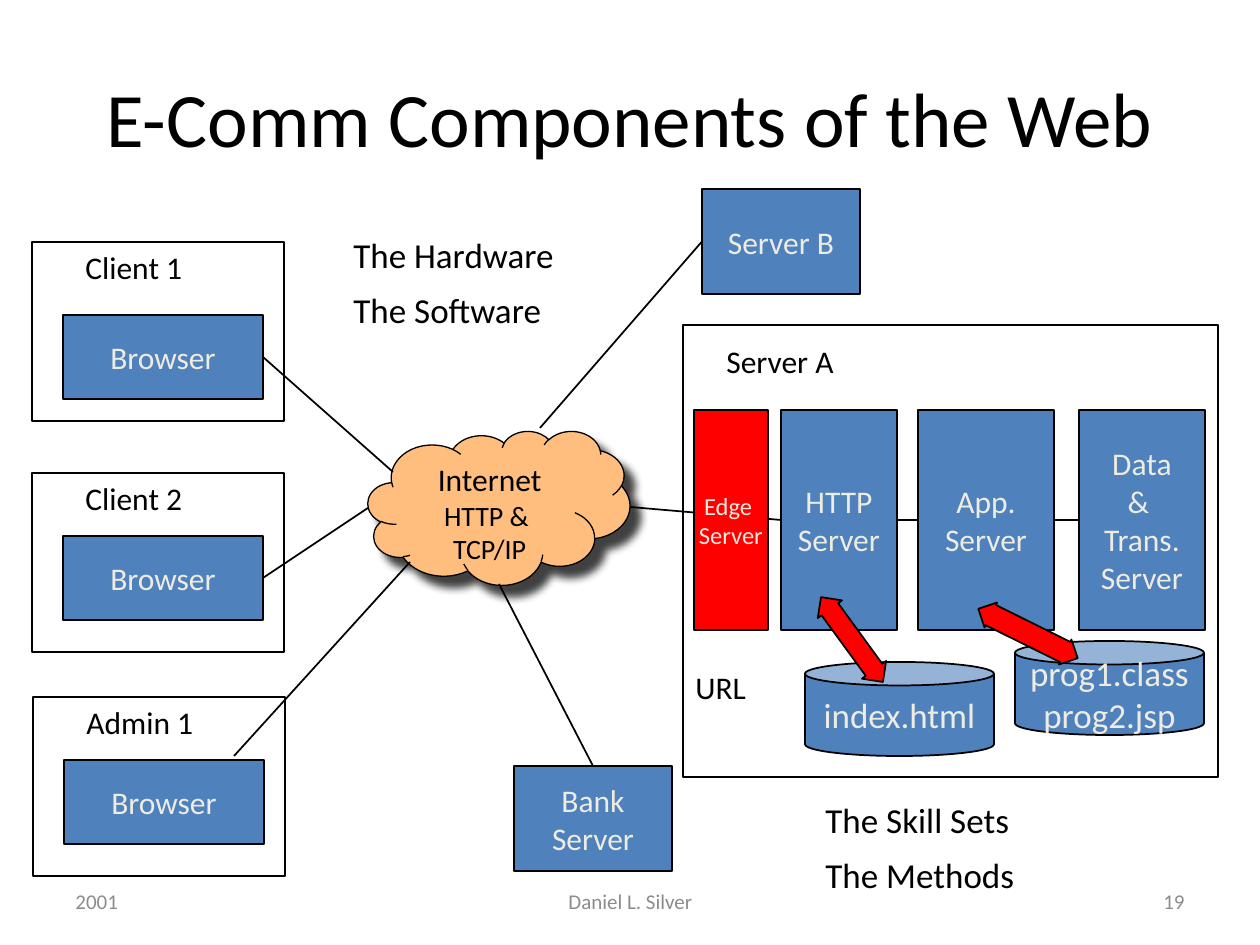
"""Build the slide that maps the e-commerce parts of the web."""
import pptx
import pptx.dml.color
import pptx.enum.shapes
import pptx.enum.text
import pptx.oxml
import pptx.oxml.ns
import pptx.util

SHAPE = pptx.enum.shapes.MSO_SHAPE
ALIGN = pptx.enum.text.PP_ALIGN
ANCHOR = pptx.enum.text.MSO_ANCHOR
TOP, LEFT, RIGHT = 0, 1, 3
SHADOW = (
    f'<a:outerShdw {pptx.oxml.ns.nsdecls("a")} blurRad="63500" dist="107950" '
    'dir="2700000" algn="tl" rotWithShape="0"><a:srgbClr val="000000">'
    '<a:alpha val="75000"/></a:srgbClr></a:outerShdw>'
)


def px(*sizes):
    return [pptx.util.Emu(round(size * 914400 / 126)) for size in sizes]


def hue(code):
    return pptx.dml.color.RGBColor.from_string(code)


def write(frame, text, size=18, color="000000", align=ALIGN.LEFT,
          anchor=ANCHOR.TOP, wrap=False, font="Calibri"):
    frame.word_wrap = wrap
    frame.vertical_anchor = anchor
    sizes = size if isinstance(size, list) else [size] * len(text.split("\n"))
    for i, (line, points) in enumerate(zip(text.split("\n"), sizes)):
        para = frame.paragraphs[0] if i == 0 else frame.add_paragraph()
        para.alignment = align
        run = para.add_run()
        run.text = line
        run.font.name = font
        run.font.size = pptx.util.Pt(points)
        run.font.color.rgb = hue(color)


class Chart:
    blue, red, peach = "4F81BD", "FF0000", "FFBE7D"
    black, cream, gray = "000000", "EEECE1", "8C8C8C"

    def __init__(self, deck):
        self.slide = deck.slides.add_slide(deck.slide_layouts[5])
        self.shapes = self.slide.shapes

    def title(self, text, spot):
        head = self.shapes.title
        head.left, head.top, head.width, head.height = px(*spot)
        write(head.text_frame, text, size=44, align=ALIGN.CENTER,
              anchor=ANCHOR.MIDDLE, wrap=True)

    def shape(self, spot, kind=SHAPE.RECTANGLE, fill=None, width=1):
        item = self.shapes.add_shape(kind, *px(*spot))
        item.shadow.inherit = False
        if fill:
            item.fill.solid()
            item.fill.fore_color.rgb = hue(fill)
        else:
            item.fill.background()
        item.line.color.rgb = hue(self.black)
        item.line.width = pptx.util.Pt(width)
        return item

    def box(self, text, spot, kind=SHAPE.RECTANGLE, fill=blue, size=18):
        item = self.shape(spot, kind, fill)
        write(item.text_frame, text, size=size, color=self.cream,
              align=ALIGN.CENTER, anchor=ANCHOR.MIDDLE)
        return item

    def cloud(self, text, spot):
        item = self.shape(spot, SHAPE.CLOUD, self.peach, 0.75)
        effects = item._element.spPr.find(pptx.oxml.ns.qn("a:effectLst"))
        effects.append(pptx.oxml.parse_xml(SHADOW))
        write(item.text_frame, text, size=[18, 16, 16], align=ALIGN.CENTER,
              wrap=True)

    def arrow(self, spot, turn, tip):
        item = self.shape(spot, SHAPE.UP_DOWN_ARROW, self.red)
        item.rotation = turn
        item.adjustments[0] = 0.5
        item.adjustments[1] = tip

    def label(self, text, spot, size=18):
        item = self.shapes.add_textbox(*px(*spot))
        write(item.text_frame, text, size=size)
        item.text_frame.auto_size = pptx.enum.text.MSO_AUTO_SIZE.SHAPE_TO_FIT_TEXT

    def foot(self, text, spot, align):
        item = self.shapes.add_textbox(*px(*spot))
        write(item.text_frame, text, size=12, color=self.gray, align=align,
              anchor=ANCHOR.MIDDLE, wrap=True)

    def line(self, start, end):
        """Join two ends, each a point or a pair of box and side."""
        link = self.shapes.add_connector(
            pptx.enum.shapes.MSO_CONNECTOR.STRAIGHT, *px(0, 0, 0, 0))
        if isinstance(start[0], int):
            link.begin_x, link.begin_y = px(*start)
        else:
            link.begin_connect(*start)
        if isinstance(end[0], int):
            link.end_x, link.end_y = px(*end)
        else:
            link.end_connect(*end)
        link.line.color.rgb = hue(self.black)
        link.line.width = pptx.util.Pt(1)
        link._element.spPr.append(
            pptx.oxml.parse_xml(f'<a:effectLst {pptx.oxml.ns.nsdecls("a")}/>'))


def main():
    deck = pptx.Presentation()
    deck.slide_width, deck.slide_height = px(1260, 945)
    chart = Chart(deck)
    chart.title("E-Comm Components of the Web", (63, 38, 1134, 158))
    for text, left, width, align in (
        ("2001", 63, 294, ALIGN.LEFT),
        ("Daniel L. Silver", 431, 399, ALIGN.CENTER),
        ("19", 903, 294, ALIGN.RIGHT),
    ):
        chart.foot(text, (left, 876, width, 50), align)

    chart.cloud("Internet\nHTTP & \nTCP/IP", (368, 431, 262, 154))

    users = []
    for text, left, top, drop, width, height in (
        ("Client 1", 32, 242, 73, 159, 63),
        ("Client 2", 32, 473, 63, 159, 63),
        ("Admin 1", 33, 697, 63, 134, 50),
    ):
        chart.shape((left, top, 252, 179))
        chart.label(text, (left + 41, top, width, height))
        users.append(chart.box("Browser", (left + 31, top + drop, 200, 84)))

    chart.shape((683, 325, 535, 452))
    chart.label("Server A", (714, 336, 176, 63))
    chart.label("URL", (683, 662, 110, 63))
    web, app, data = [
        chart.box(text, (left, 410, width, 220))
        for text, left, width in (
            ("HTTP\nServer", 781, 116),
            ("App.\nServer", 918, 136),
            ("Data\n& \nTrans.\nServer", 1079, 126),
        )
    ]
    other = chart.box("Server B", (702, 189, 158, 105))
    bank = chart.box("Bank\nServer", (514, 766, 158, 105))

    for start, end in (
        ((users[0], RIGHT), (393, 472)),
        ((users[1], RIGHT), (368, 508)),
        ((234, 756), (410, 562)),
        ((540, 428), (other, LEFT)),
        ((bank, TOP), (499, 584)),
        ((630, 507), (web, LEFT)),
        ((web, RIGHT), (app, LEFT)),
        ((app, RIGHT), (data, LEFT)),
    ):
        chart.line(start, end)
    chart.box("Edge \nServer", (694, 410, 74, 220), fill=chart.red, size=14)

    for text, left, top in (
        ("index.html", 805, 662),
        ("prog1.class\nprog2.jsp", 1015, 641),
    ):
        can = chart.box(text, (left, top, 189, 94), SHAPE.CAN, size=20)
        can.adjustments[0] = 0.25
    chart.arrow((837, 587, 30, 105), 323.9, 0.68)
    chart.arrow((1014, 578, 28, 111), 296.4, 0.81)

    for text, left, top, width in (
        ("The Hardware", 341, 227, 229),
        ("The Software", 341, 282, 215),
        ("The Skill Sets", 813, 792, 210),
        ("The Methods", 813, 847, 215),
    ):
        chart.label(text, (left, top, width, 55), size=20)
    deck.save("out.pptx")


if __name__ == "__main__":
    main()
